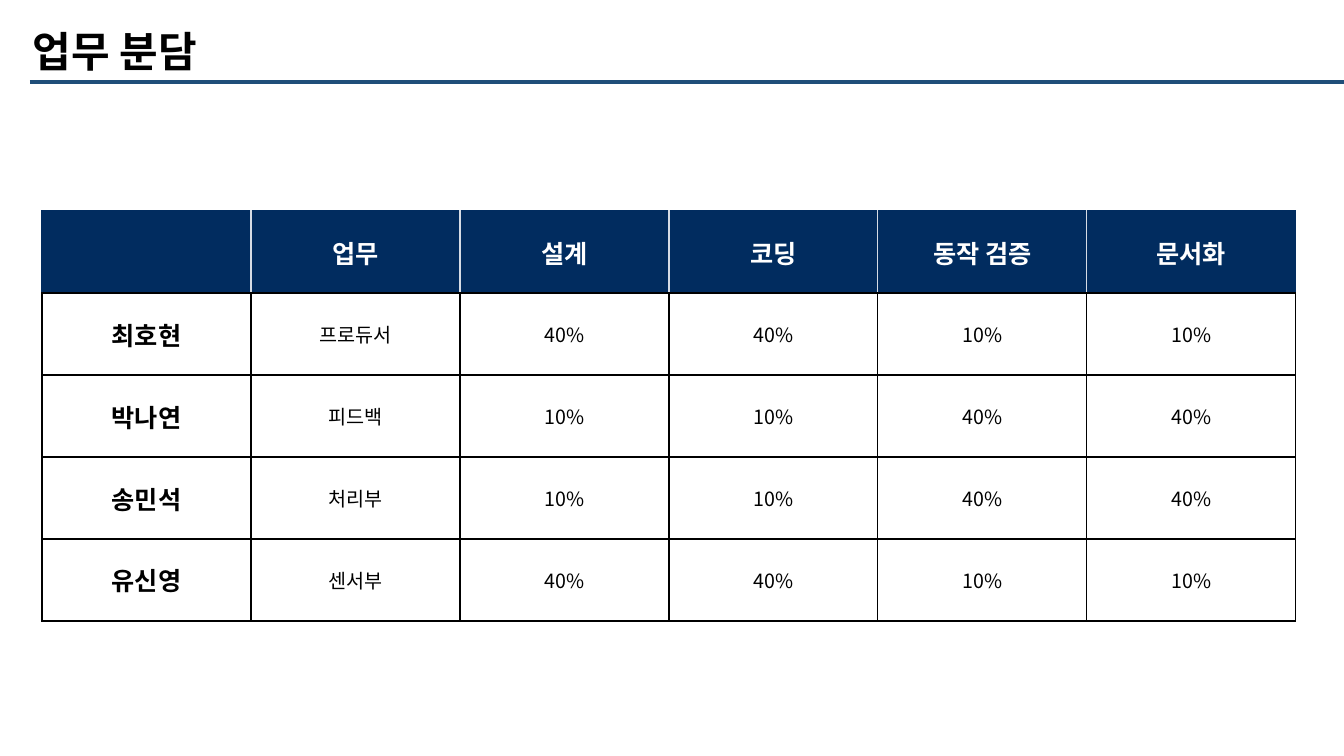
import lxml.etree
import pptx
import pptx.dml.color
import pptx.enum.shapes
import pptx.enum.text
import pptx.oxml.ns
import pptx.util

TITLE = "업무 분담"
ROWS = [
    ("", "업무", "설계", "코딩", "동작 검증", "문서화"),
    ("최호현", "프로듀서", "40%", "40%", "10%", "10%"),
    ("박나연", "피드백", "10%", "10%", "40%", "40%"),
    ("송민석", "처리부", "10%", "10%", "40%", "40%"),
    ("유신영", "센서부", "40%", "40%", "10%", "10%"),
]

FONT = "Noto Sans CJK KR"
BLACK = pptx.dml.color.RGBColor(0x00, 0x00, 0x00)
WHITE = pptx.dml.color.RGBColor(0xFF, 0xFF, 0xFF)
NAVY = pptx.dml.color.RGBColor(0x01, 0x2C, 0x5F)
PALE = pptx.dml.color.RGBColor(0xD6, 0xDC, 0xE5)
BLUE = pptx.dml.color.RGBColor(0x1F, 0x4E, 0x79)

SLIDE_W, SLIDE_H = 1344, 756
TABLE_X, TABLE_Y = 42, 211
COL_W, ROW_H = 209, 82
RULE_X, RULE_Y = 30, 82
LAST_COL = len(ROWS[0]) - 1


def px(n):
    return pptx.util.Emu(round(n * 914400 / 100.8))


def add_child(parent, tag, **attributes):
    return lxml.etree.SubElement(parent, pptx.oxml.ns.qn(tag), **attributes)


def write(p, text, size, color, bold):
    """Put one run in the paragraph, with the font for Latin and Korean text."""
    r = p.add_run()
    r.text = text
    p.font.size = r.font.size = pptx.util.Pt(size)
    r.font.bold = bold
    r.font.color.rgb = color
    r.font.name = FONT
    add_child(r.font._element, "a:ea", typeface=FONT)


def set_borders(cell, left, right, top, bottom):
    tc_pr = cell._tc.get_or_add_tcPr()
    sides = zip(("a:lnL", "a:lnR", "a:lnT", "a:lnB"), (left, right, top, bottom))
    for i, (tag, color) in enumerate(sides):
        ln = add_child(tc_pr, tag, w=str(pptx.util.Pt(1)))
        add_child(add_child(ln, "a:solidFill"), "a:srgbClr", val=str(color))
        tc_pr.insert(i, ln)


def fill_cell(cell, text, row, col):
    header = row == 0
    cell.vertical_anchor = pptx.enum.text.MSO_ANCHOR.MIDDLE
    if header:
        cell.fill.solid()
        cell.fill.fore_color.rgb = NAVY
        set_borders(cell, NAVY if col == 0 else PALE,
                    NAVY if col == LAST_COL else PALE, NAVY, BLACK)
    else:
        cell.fill.background()
        set_borders(cell, BLACK, BLACK, BLACK, BLACK)
    if text:
        strong = header or col == 0
        p = cell.text_frame.paragraphs[0]
        p.alignment = pptx.enum.text.PP_ALIGN.CENTER
        write(p, text, 18 if strong else 14, WHITE if header else BLACK, strong)


def add_work_table(s):
    frame = s.shapes.add_table(len(ROWS), len(ROWS[0]), px(TABLE_X), px(TABLE_Y),
                               px(COL_W * len(ROWS[0])), px(ROW_H * len(ROWS)))
    table = frame.table
    table.horz_banding = False
    for column in table.columns:
        column.width = px(COL_W)
    for row, texts in enumerate(ROWS):
        table.rows[row].height = px(ROW_H)
        for col, text in enumerate(texts):
            fill_cell(table.cell(row, col), text, row, col)


def add_title(s):
    rule = s.shapes.add_connector(pptx.enum.shapes.MSO_CONNECTOR.STRAIGHT,
                                  px(RULE_X), px(RULE_Y), px(SLIDE_W), px(RULE_Y))
    rule.line.color.rgb = BLUE
    rule.line.width = pptx.util.Pt(3)
    add_child(rule._element.spPr, "a:effectLst")

    tf = s.shapes.add_textbox(px(23), px(21), px(575), px(61)).text_frame
    tf.word_wrap = True
    tf.auto_size = pptx.enum.text.MSO_AUTO_SIZE.SHAPE_TO_FIT_TEXT
    write(tf.paragraphs[0], TITLE, 30, BLACK, True)


def main():
    prs = pptx.Presentation()
    prs.slide_width, prs.slide_height = px(SLIDE_W), px(SLIDE_H)
    s = prs.slides.add_slide(prs.slide_layouts[6])
    add_work_table(s)
    add_title(s)
    prs.save("out.pptx")


if __name__ == "__main__":
    main()
